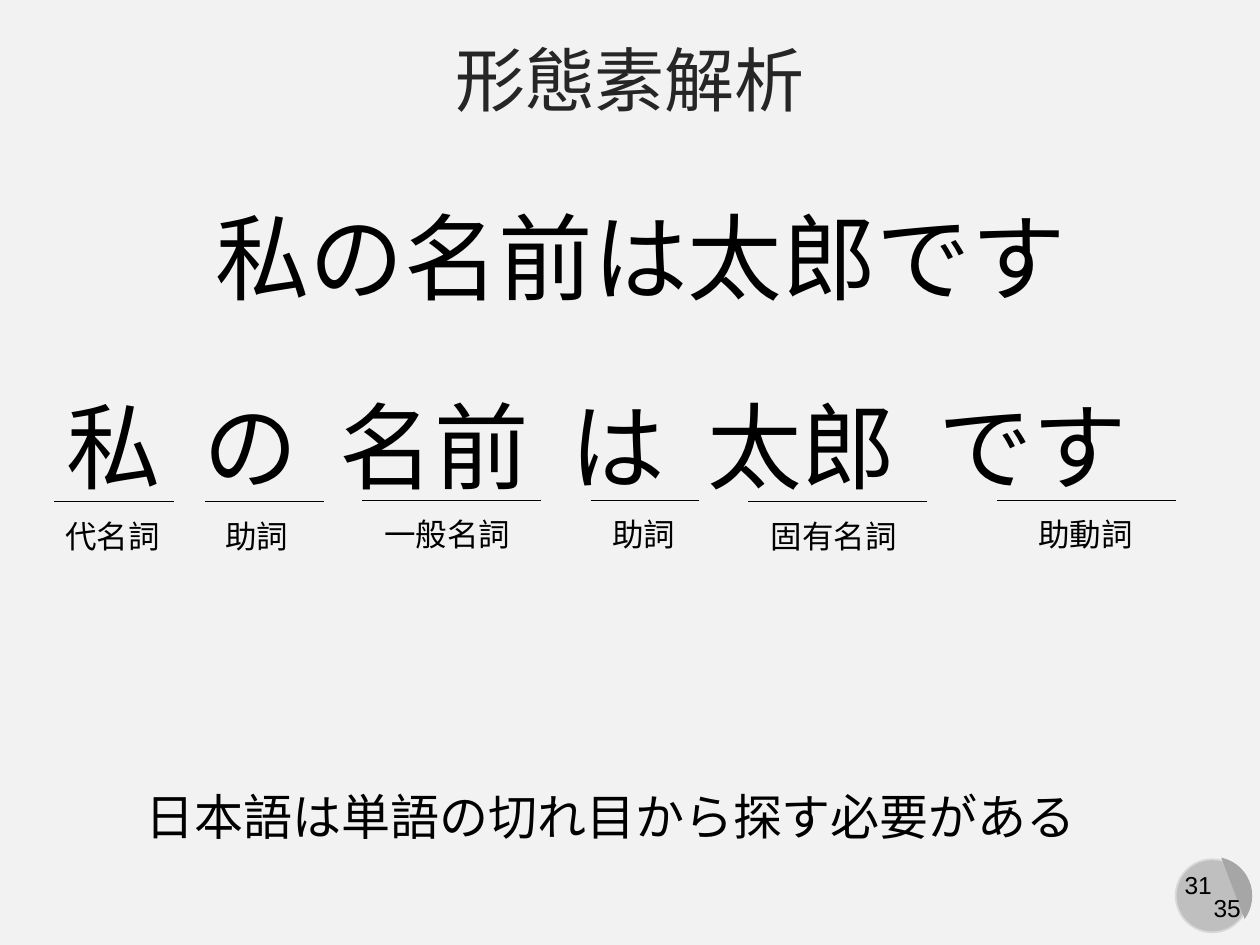
from dataclasses import dataclass
from itertools import accumulate

from lxml import etree
from pptx import Presentation
from pptx.dml.color import RGBColor
from pptx.enum.shapes import MSO_CONNECTOR, MSO_SHAPE
from pptx.enum.text import MSO_ANCHOR, MSO_AUTO_SIZE, PP_ALIGN
from pptx.oxml.ns import qn
from pptx.shapes.autoshape import Shape
from pptx.slide import Slide
from pptx.util import Pt

STRAIGHT = MSO_CONNECTOR.STRAIGHT
ELLIPSE, CHORD = MSO_SHAPE.OVAL, MSO_SHAPE.CHORD
MIDDLE = MSO_ANCHOR.MIDDLE
GROW = MSO_AUTO_SIZE.SHAPE_TO_FIT_TEXT
LEFT, CENTER = PP_ALIGN.LEFT, PP_ALIGN.CENTER

BACKGROUND = RGBColor(0xF2, 0xF2, 0xF2)
BLACK = RGBColor(0x00, 0x00, 0x00)
TITLE_COLOR = RGBColor(0x26, 0x26, 0x26)
BADGE_FILL = RGBColor(0xBF, 0xBF, 0xBF)
BADGE_LINE = RGBColor(0xD9, 0xD9, 0xD9)
BADGE_CHORD = RGBColor(0xA6, 0xA6, 0xA6)

FONT = "Arial"
WORD_SIZE = 54
WORD_GAP = 24
TAG_SIZE = 18
TAG_DROP = 5
TEXT_INSETS = 14.4


@dataclass(frozen=True)
class TextBlock:
    text: str
    left: float
    top: float
    width: float
    height: float
    size: float
    color: RGBColor = BLACK
    align: PP_ALIGN = LEFT
    wrap: bool = False


@dataclass(frozen=True)
class Word:
    text: str
    tag: str
    line_left: float
    line_right: float
    line_top: float
    tag_left: float


TITLE = TextBlock("形態素解析", 0, 15.1, 720, 59, 40, TITLE_COLOR, CENTER, True)
TEXT_BLOCKS = (
    TextBlock("私の名前は太郎です", 115.9, 110.2, 505.4, 72.7, WORD_SIZE),
    TextBlock("日本語は単語の切れ目から探す必要がある", 76.3, 445.7, 551.5, 41, 28),
)
PAGE_NUMBERS = (
    TextBlock("31", 668.9, 493.9, 31.7, 24.5, 14, align=CENTER),
    TextBlock("35", 686.2, 506.9, 30.2, 24.5, 14, align=CENTER),
)
WORDS = (
    Word("私", "代名詞", 31, 99.4, 286.6, 30.2),
    Word("の", "助詞", 117.4, 185, 286.6, 121.7),
    Word("名前", "一般名詞", 206.6, 308.9, 285.8, 212.4),
    Word("は", "助詞", 337.7, 399.6, 285.8, 342.7),
    Word("太郎", "固有名詞", 427.7, 529.9, 286.6, 433.4),
    Word("です", "助動詞", 569.5, 671.8, 285.8, 586.1),
)


def add_text(slide: Slide, block: TextBlock) -> Shape:
    shape = slide.shapes.add_textbox(
        Pt(block.left), Pt(block.top), Pt(block.width), Pt(block.height)
    )
    frame = shape.text_frame
    frame.word_wrap = block.wrap
    frame.auto_size = GROW
    paragraph = frame.paragraphs[0]
    paragraph.alignment = block.align
    run = paragraph.add_run()
    run.text = block.text
    run.font.name = FONT
    run.font.size = Pt(block.size)
    run.font.color.rgb = block.color
    return shape


def add_segmented_sentence(slide: Slide) -> None:
    sentence = "\t".join(word.text for word in WORDS)
    shape = add_text(
        slide, TextBlock(sentence, 31, 218.2, 656.6, 72.7, WORD_SIZE, wrap=True)
    )
    properties = shape.text_frame.paragraphs[0]._p.get_or_add_pPr()
    tab_list = etree.SubElement(properties, qn("a:tabLst"))
    advances = (len(word.text) * WORD_SIZE + WORD_GAP for word in WORDS[:-1])
    for position in accumulate(advances):
        etree.SubElement(tab_list, qn("a:tab"), pos=str(Pt(position)), algn="l")


def add_word_tag(slide: Slide, word: Word) -> None:
    line = slide.shapes.add_connector(
        STRAIGHT,
        Pt(word.line_right), Pt(word.line_top),
        Pt(word.line_left), Pt(word.line_top),
    )
    line.line.color.rgb = BLACK
    line.line.width = Pt(0.5)
    etree.SubElement(line._element.spPr, qn("a:effectLst"))
    width = len(word.tag) * TAG_SIZE + TEXT_INSETS
    top = word.line_top + TAG_DROP
    add_text(slide, TextBlock(word.tag, word.tag_left, top, width, 29, TAG_SIZE))


def add_disc(
    slide: Slide, kind: MSO_SHAPE, left: float, top: float, size: float, fill: RGBColor
) -> Shape:
    shape = slide.shapes.add_shape(kind, Pt(left), Pt(top), Pt(size), Pt(size))
    shape.shadow.inherit = False
    shape.fill.solid()
    shape.fill.fore_color.rgb = fill
    shape.line.fill.background()
    return shape


def add_page_badge(slide: Slide) -> None:
    current, total = PAGE_NUMBERS
    disc = add_disc(slide, ELLIPSE, 671.8, 491, 41.8, BADGE_FILL)
    disc.line.color.rgb = BADGE_LINE
    disc.line.width = Pt(1)
    add_text(slide, current)
    chord = add_disc(slide, CHORD, 671, 489.6, 44.6, BADGE_CHORD)
    chord.rotation = 255
    chord.adjustments[0] = 27 * 0.6
    chord.adjustments[1] = 141.42 * 0.6
    add_text(slide, total)


def main() -> None:
    presentation = Presentation()
    presentation.slide_width = Pt(720)
    presentation.slide_height = Pt(540)
    slide = presentation.slides.add_slide(presentation.slide_layouts[6])
    slide.background.fill.solid()
    slide.background.fill.fore_color.rgb = BACKGROUND

    add_page_badge(slide)
    title = add_text(slide, TITLE)
    title.text_frame.vertical_anchor = MIDDLE
    for block in TEXT_BLOCKS:
        add_text(slide, block)
    add_segmented_sentence(slide)
    for word in WORDS:
        add_word_tag(slide, word)
    presentation.save("out.pptx")


if __name__ == "__main__":
    main()
